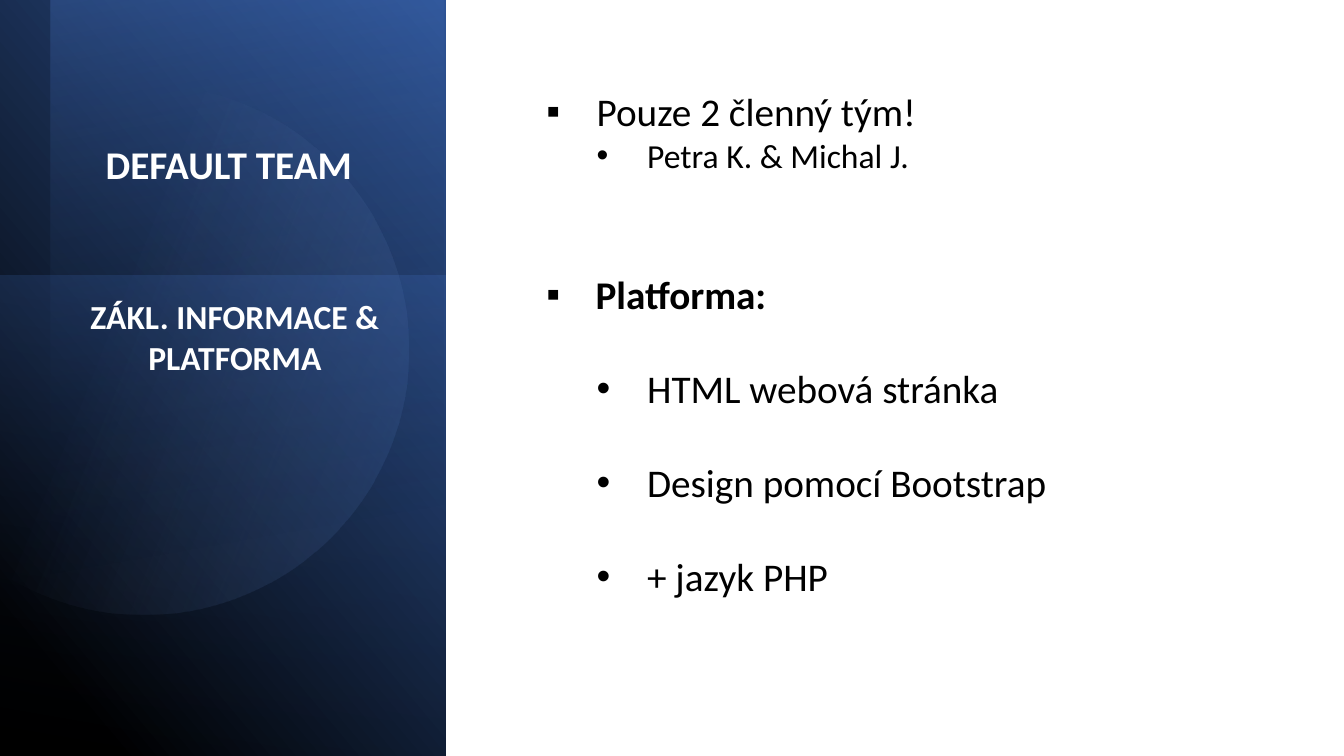
from math import acos, cos, radians, sin

from pptx import Presentation
from pptx.dml.color import RGBColor
from pptx.enum.shapes import MSO_SHAPE as Shape
from pptx.enum.text import MSO_AUTO_SIZE as AutoSize, PP_ALIGN as Align
from pptx.oxml import parse_xml
from pptx.oxml.ns import nsdecls, qn
from pptx.util import Inches, Pt

FONT = "Calibri"
WHITE, BLACK = "FFFFFF", "000000"
NAVY, ROYAL, BLUE, PALE = "203864", "2F5597", "4472C4", "8FAADC"


def color(value):
    """Turn a hex string into a colour."""
    return RGBColor.from_string(value)


def fill_gradient(shape, stops, angle):
    """Fill a shape with (position, colour, opacity) stops and no outline."""
    shape.shadow.inherit = False
    shape.line.fill.background()
    shape.fill.gradient()
    stop_xml = "".join(
        f'<a:gs pos="{position * 1000}"><a:srgbClr val="{color(value)}">'
        f'<a:alpha val="{opacity * 1000}"/></a:srgbClr></a:gs>'
        for position, value, opacity in stops)
    properties = shape.fill._xPr
    properties.replace(properties.find(qn("a:gradFill")), parse_xml(
        f'<a:gradFill {nsdecls("a")} rotWithShape="1"><a:gsLst>{stop_xml}</a:gsLst>'
        f'<a:lin ang="{angle * 60000}" scaled="0"/></a:gradFill>'))


def add_panel(slide, left, top, width, height, stops, angle, turn=0, flip=False):
    """Add a gradient rectangle whose turned outline covers the given box."""
    center_x, center_y = left + width / 2, top + height / 2
    if turn in (90, 270):
        width, height = height, width
    panel = slide.shapes.add_shape(
        Shape.RECTANGLE, Inches(center_x - width / 2), Inches(center_y - height / 2),
        Inches(width), Inches(height))
    panel.rotation = turn
    if flip:
        panel._element.spPr.find(qn("a:xfrm")).set("flipH", "1")
    fill_gradient(panel, stops, angle)


def add_disc(slide, left, center_x, center_y, radius):
    """Add the pale disc, cut off at the left edge and turned with its gradient."""
    turn, steps = 101.6, 120
    pivot_x, pivot_y = left + 1.81, center_y + 0.08
    cosine, sine = cos(radians(turn)), sin(radians(turn))
    limit = acos((left - center_x) / radius)
    points = []
    for step in range(steps + 1):
        angle = limit * (2 * step / steps - 1)
        x = center_x + radius * cos(angle) - pivot_x
        y = center_y + radius * sin(angle) - pivot_y
        points.append((Inches(pivot_x + x * cosine + y * sine),
                       Inches(pivot_y - x * sine + y * cosine)))
    builder = slide.shapes.build_freeform(*points[0])
    builder.add_line_segments(points[1:], close=True)
    disc = builder.convert_to_shape()
    disc.rotation = turn
    fill_gradient(disc, [(39, PALE, 0), (100, ROYAL, 26)], 280)


def add_text_frame(slide, left, top, width, height):
    """Add a wrapping text box and return its text frame."""
    box = slide.shapes.add_textbox(Inches(left), Inches(top), Inches(width), Inches(height))
    box.text_frame.word_wrap = True
    box.text_frame.auto_size = AutoSize.SHAPE_TO_FIT_TEXT
    return box.text_frame


def write_lines(frame, lines, size, value, bold=False, align=Align.LEFT):
    """Write lines in one style and return their paragraphs."""
    frame.text = "\n".join(lines)
    for paragraph in frame.paragraphs:
        paragraph.alignment = align
        for run in paragraph.runs:
            run.font.name = FONT
            run.font.size = Pt(size)
            run.font.bold = bold
            run.font.color.rgb = color(value)
    return frame.paragraphs


def add_bullet(paragraph, mark, indent, hanging):
    """Give a paragraph a bullet with a hanging indent in inches."""
    properties = paragraph._p.get_or_add_pPr()
    properties.set("marL", str(Inches(indent)))
    properties.set("indent", str(-Inches(hanging)))
    properties.append(parse_xml(f'<a:buFont {nsdecls("a")} typeface="Arial"/>'))
    properties.append(parse_xml(f'<a:buChar {nsdecls("a")} char="{mark}"/>'))


def add_sidebar(slide, left, top, width, height):
    """Build the blue sidebar with its two headings."""
    add_panel(slide, left, top, width, height,
              [(11, BLACK, 100), (100, ROYAL, 100)], 310, turn=90, flip=True)
    add_panel(slide, left + 0.5, top, width - 0.52, height,
              [(0, BLUE, 32), (70, BLACK, 0)], 100, flip=True)
    add_disc(slide, left, left + 1.43, top + 3.47, 2.63)
    add_panel(slide, left, top + 2.73, width, height - 2.73,
              [(0, BLUE, 24), (100, NAVY, 0)], 190, turn=270)
    write_lines(add_text_frame(slide, left + 0.95, top + 1.34, 3.35, 0.57),
                ["DEFAULT TEAM"], 28, WHITE, bold=True)
    write_lines(add_text_frame(slide, left + 0.5, top + 2.89, 3.66, 0.91),
                ["ZÁKL. INFORMACE &", "PLATFORMA"], 24, WHITE, bold=True, align=Align.CENTER)


def add_content(slide, left, top, width, height):
    """Build the bulleted list about the team and the platform."""
    lines = ["Pouze 2 členný tým!", "Petra K. & Michal J.", "Platforma:",
             "HTML webová stránka", "Design pomocí Bootstrap", "+ jazyk PHP"]
    frame = add_text_frame(slide, left, top, width, height)
    team, members, platform, *tools = write_lines(frame, lines, 28, BLACK)
    add_bullet(team, "▪", 0.5, 0.5)
    add_bullet(platform, "▪", 0.49, 0.49)
    for paragraph in (members, *tools):
        add_bullet(paragraph, "•", 1, 0.5)
    members.level = platform.level = 1
    members.runs[0].font.size = Pt(24)
    platform.runs[0].font.bold = True
    platform.space_before = Pt(68)
    for paragraph in tools:
        paragraph.level = 2
        paragraph.line_spacing = 2.0


def main():
    """Build and save the slide."""
    presentation = Presentation()
    presentation.slide_width, presentation.slide_height = Inches(13.33), Inches(7.5)
    slide = presentation.slides.add_slide(presentation.slide_layouts[6])
    slide.background.fill.solid()
    slide.background.fill.fore_color.rgb = color(WHITE)
    add_sidebar(slide, 0, 0, 4.42, 7.5)
    add_content(slide, 5.32, 0.82, 7.06, 5.62)
    presentation.save("out.pptx")


if __name__ == "__main__":
    main()
